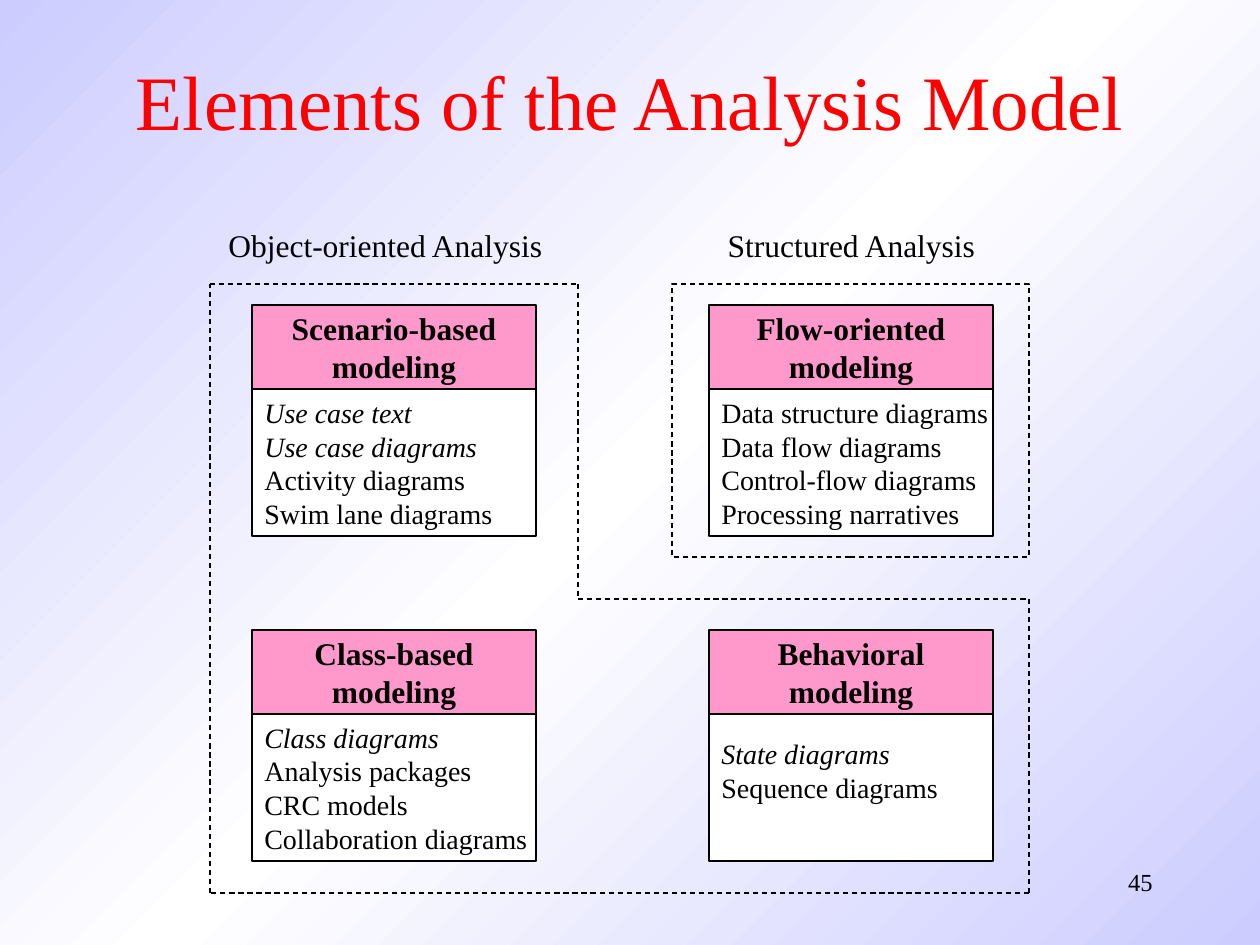
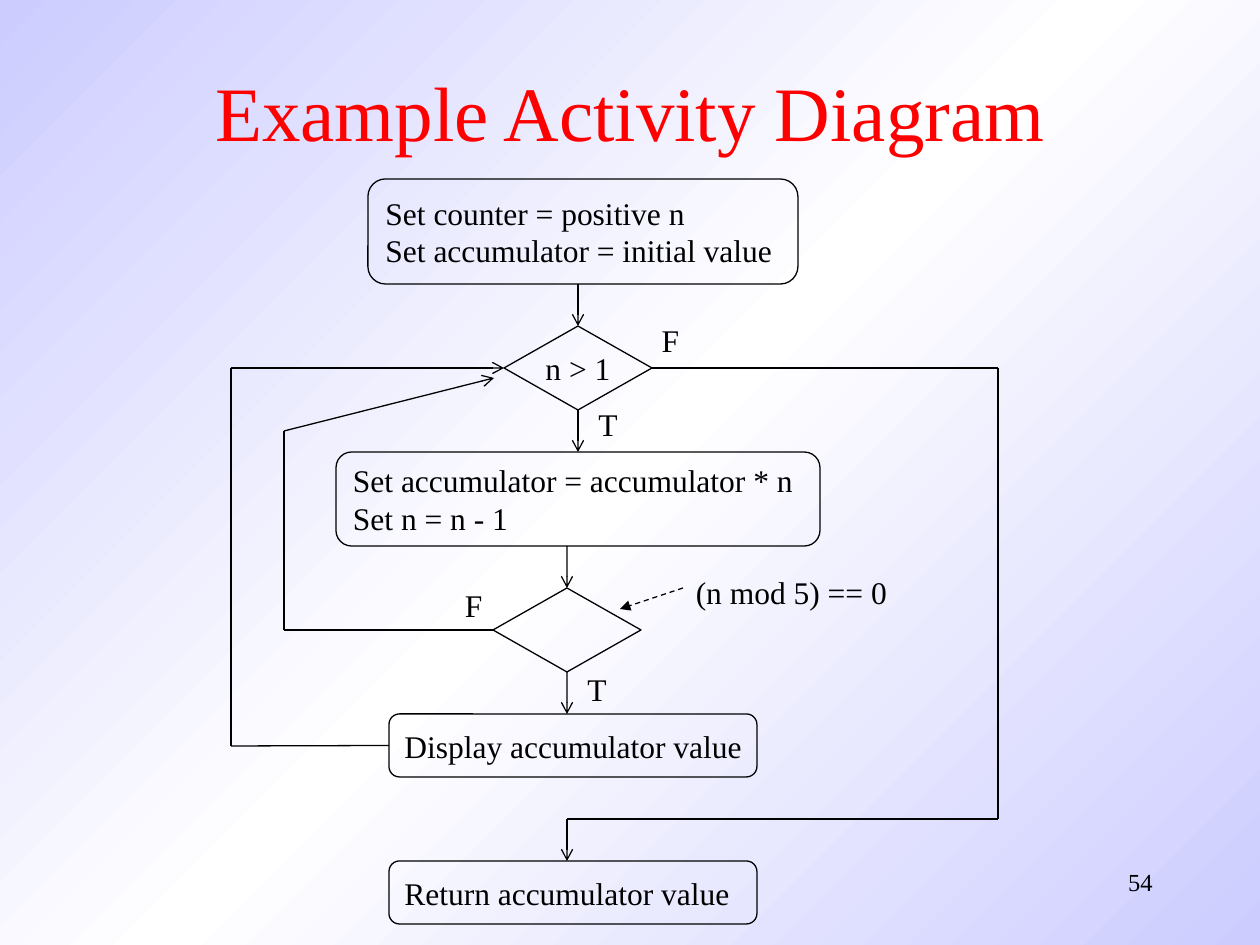
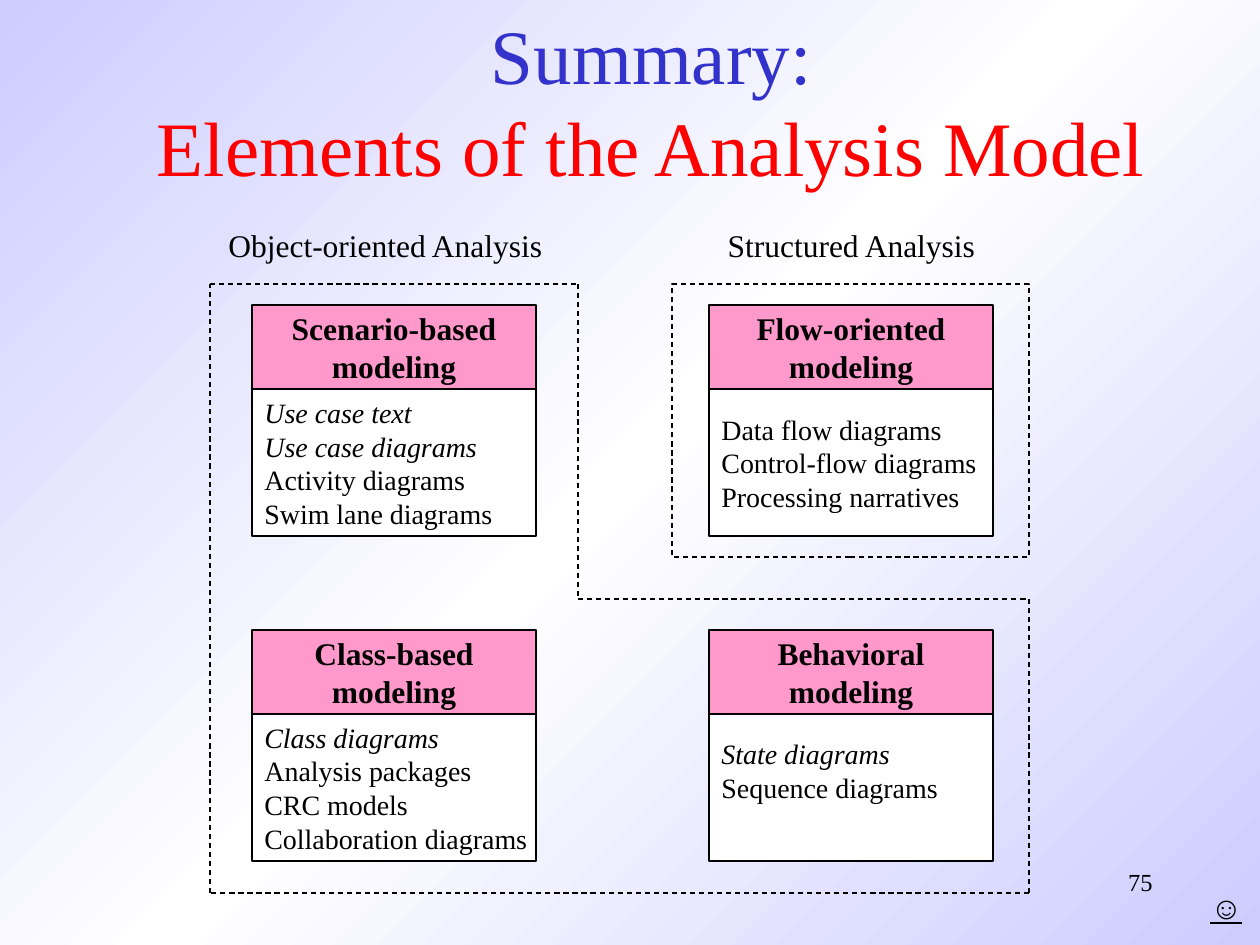
from copy import deepcopy
from itertools import pairwise

from pptx import Presentation
from pptx.dml.color import RGBColor
from pptx.enum.dml import MSO_LINE as Dash
from pptx.enum.shapes import MSO_CONNECTOR, MSO_SHAPE as Preset
from pptx.enum.text import MSO_ANCHOR as Anchor, PP_ALIGN as Align
from pptx.oxml.ns import qn
from pptx.oxml.xmlchemy import OxmlElement
from pptx.util import Pt

COLORS = {"ink": "000000", "paper": "FFFFFF", "pink": "FF99CC",
          "red": "FF0000", "blue": "3333CC", "lavender": "CCCCFF"}
FONT = "Times New Roman"
EMU_PER_PX = 914400 / 126
PAGE = (1260, 945)
TITLE_SIZE = (1071, 158)
NUMBER_BOX = (903, 861, 262, 63)

ELEMENTS_TITLE = "Elements of the Analysis Model"
COLUMNS, ROWS = (252, 709), (305, 630)
CARD_WIDTH, HEAD_HEIGHT, BODY_HEIGHT = 284, 84, 147
INSET, BODY_LINE = 6, 34

SCENARIO = ("Scenario-based", ["Use case text", "Use case diagrams"],
            ["Activity diagrams", "Swim lane diagrams"], 0)
CLASSES = ("Class-based", ["Class diagrams"],
           ["Analysis packages", "CRC models", "Collaboration diagrams"], 0)
BEHAVIOR = ("Behavioral", ["State diagrams"], ["Sequence diagrams"], 1)
FLOWS = ["Data flow diagrams", "Control-flow diagrams", "Processing narratives"]

APPROACHES = [("Object-oriented Analysis", (215, 220, 341, 50)),
              ("Structured Analysis", (714, 220, 275, 50))]
STRUCTURED_FRAME = (672, 284, 357, 273)
OBJECT_FRAME = [(210, 284), (578, 284), (578, 599), (1029, 599),
                (1029, 893), (210, 893), (210, 284)]

STEPS = {
    "start": (Preset.ROUNDED_RECTANGLE, (368, 179, 430, 105),
              ["Set counter = positive n", "Set accumulator = initial value"]),
    "test": (Preset.FLOWCHART_DECISION, (504, 326, 148, 84), ["n > 1"]),
    "update": (Preset.ROUNDED_RECTANGLE, (336, 452, 484, 94),
               ["Set accumulator = accumulator * n", "Set n = n - 1"]),
    "mod": (Preset.FLOWCHART_DECISION, (493, 588, 148, 84), []),
    "display": (Preset.ROUNDED_RECTANGLE, (389, 714, 368, 63),
                ["Display accumulator value"]),
    "return": (Preset.ROUNDED_RECTANGLE, (389, 861, 368, 63),
               ["Return accumulator value"]),
}
TOP, LEFT, BOTTOM, RIGHT = range(4)
FLOW_ROUTES = [
    [(578, 284), ("test", TOP)],
    [("test", BOTTOM), ("update", TOP)],
    [(567, 546), ("mod", TOP)],
    [("mod", BOTTOM), (567, 714)],
    [("display", LEFT), (231, 746), (231, 368), ("test", LEFT)],
    [("mod", LEFT), (284, 630), (284, 431), (494, 378)],
    [("test", RIGHT), (998, 368), (998, 819), (567, 819), (567, 861)],
]
NOTE_ROUTE = [(683, 588), (620, 609)]
FLOW_LABELS = [("(n mod 5) == 0", (683, 567, 217, 50)),
               ("T", (586, 399, 44, 50)), ("F", (649, 315, 43, 50)),
               ("T", (575, 664, 44, 50)), ("F", (452, 580, 43, 50))]


def px(length):
    return round(length * EMU_PER_PX)


def rgb(name):
    return RGBColor.from_string(COLORS[name])


def put_text(shape, lines, size=18, align=Align.CENTER, anchor=Anchor.MIDDLE,
             wrap=False, **style):
    frame = shape.text_frame
    frame.word_wrap = wrap
    frame.vertical_anchor = anchor
    for index, line in enumerate(lines):
        words, special = (line, {}) if isinstance(line, str) else line
        look = style | special
        paragraph = frame.paragraphs[0] if index == 0 else frame.add_paragraph()
        paragraph.alignment = align
        run = paragraph.add_run()
        run.text = words
        font = run.font
        font.name, font.size = FONT, Pt(size)
        font.color.rgb = rgb(look.get("color", "ink"))
        font.bold = look.get("bold", False)
        font.italic = look.get("italic", False)
        font.underline = look.get("underline", False)


def add_label(slide, words, box, **style):
    put_text(slide.shapes.add_textbox(*map(px, box)), [words],
             **{"anchor": Anchor.TOP} | style)


def add_box(shapes, preset, box, fill=None, dash=None):
    shape = shapes.add_shape(preset, *map(px, box))
    shape.shadow.inherit = False
    if fill:
        shape.fill.solid()
        shape.fill.fore_color.rgb = rgb(fill)
    else:
        shape.fill.background()
    set_line(shape.line, dash)
    return shape


def set_line(line, dash=None):
    line.color.rgb = rgb("ink")
    line.width = Pt(0.75)
    if dash:
        line.dash_style = dash


def site_point(stop):
    if not isinstance(stop[0], str):
        return stop
    x, y, width, height = STEPS[stop[0]][1]
    return [(x + width // 2, y), (x, y + height // 2),
            (x + width // 2, y + height), (x + width, y + height // 2)][stop[1]]


def add_route(slide, stops, steps=None, dash=None, head=None):
    for start, end in pairwise(stops):
        ends = (*site_point(start), *site_point(end))
        link = slide.shapes.add_connector(MSO_CONNECTOR.STRAIGHT, *map(px, ends))
        set_line(link.line, dash)
        link._element.spPr.append(OxmlElement("a:effectLst"))
        if isinstance(start[0], str):
            link.begin_connect(steps[start[0]], start[1])
        if isinstance(end[0], str):
            link.end_connect(steps[end[0]], end[1])
    if head:
        arrow = OxmlElement("a:tailEnd")
        arrow.set("type", head)
        link.line._get_or_add_ln().append(arrow)


def set_background(master):
    fill = master.background.fill
    fill.gradient()
    fill.gradient_angle = 315
    stop_list = master.element.find(".//" + qn("a:gsLst"))
    stop_list.append(deepcopy(stop_list[-1]))
    for stop, position, name in zip(fill.gradient_stops, (0, 0.5, 1),
                                    ("lavender", "paper", "lavender")):
        stop.position = position
        stop.color.rgb = rgb(name)


def add_page(deck, number, title, corner):
    slide = deck.slides.add_slide(deck.slide_layouts[6])
    add_label(slide, str(number), NUMBER_BOX, size=14, align=Align.RIGHT, wrap=True)
    heading = slide.shapes.add_textbox(*map(px, corner + TITLE_SIZE))
    put_text(heading, title, size=44, wrap=True, color="red")
    return slide


def add_card(slide, x, y, model):
    name, italics, plain, spare_lines = model
    card = slide.shapes.add_group_shape().shapes
    body = add_box(card, Preset.RECTANGLE,
                   (x, y + HEAD_HEIGHT, CARD_WIDTH, BODY_HEIGHT), "paper")
    body.text_frame.margin_bottom = px(INSET + spare_lines * BODY_LINE)
    put_text(body, [(line, {"italic": True}) for line in italics] + plain,
             size=16, align=Align.LEFT)
    head = add_box(card, Preset.RECTANGLE, (x, y, CARD_WIDTH, HEAD_HEIGHT), "pink")
    put_text(head, [name, "modeling"], bold=True)


def add_elements(slide, flows):
    grid = [[SCENARIO, ("Flow-oriented", [], flows, 0)], [CLASSES, BEHAVIOR]]
    for y, models in zip(ROWS, grid):
        for x, model in zip(COLUMNS, models):
            add_card(slide, x, y, model)
    add_box(slide.shapes, Preset.RECTANGLE, STRUCTURED_FRAME, dash=Dash.DASH)
    add_route(slide, OBJECT_FRAME, dash=Dash.DASH)
    for words, box in APPROACHES:
        add_label(slide, words, box)


def add_activity(slide):
    steps = {}
    for name, (preset, box, lines) in STEPS.items():
        steps[name] = add_box(slide.shapes, preset, box)
        decision = preset == Preset.FLOWCHART_DECISION
        put_text(steps[name], lines, align=Align.CENTER if decision else Align.LEFT)
    for stops in FLOW_ROUTES:
        add_route(slide, stops, steps, head="arrow")
    add_route(slide, NOTE_ROUTE, dash=Dash.DASH, head="triangle")
    for words, box in FLOW_LABELS:
        add_label(slide, words, box)


def main():
    deck = Presentation()
    deck.slide_width, deck.slide_height = map(px, PAGE)
    set_background(deck.slide_master)

    add_elements(add_page(deck, 45, [ELEMENTS_TITLE], (95, 21)),
                 ["Data structure diagrams"] + FLOWS)
    add_activity(add_page(deck, 54, ["Example Activity Diagram"], (95, 32)))
    summary = add_page(deck, 75, [("Summary:", {"color": "blue"}), ELEMENTS_TITLE],
                       (116, 21))
    add_elements(summary, FLOWS)
    add_label(summary, "☺", (1198, 882, 52, 50), underline=True)

    deck.save("out.pptx")


if __name__ == "__main__":
    main()
